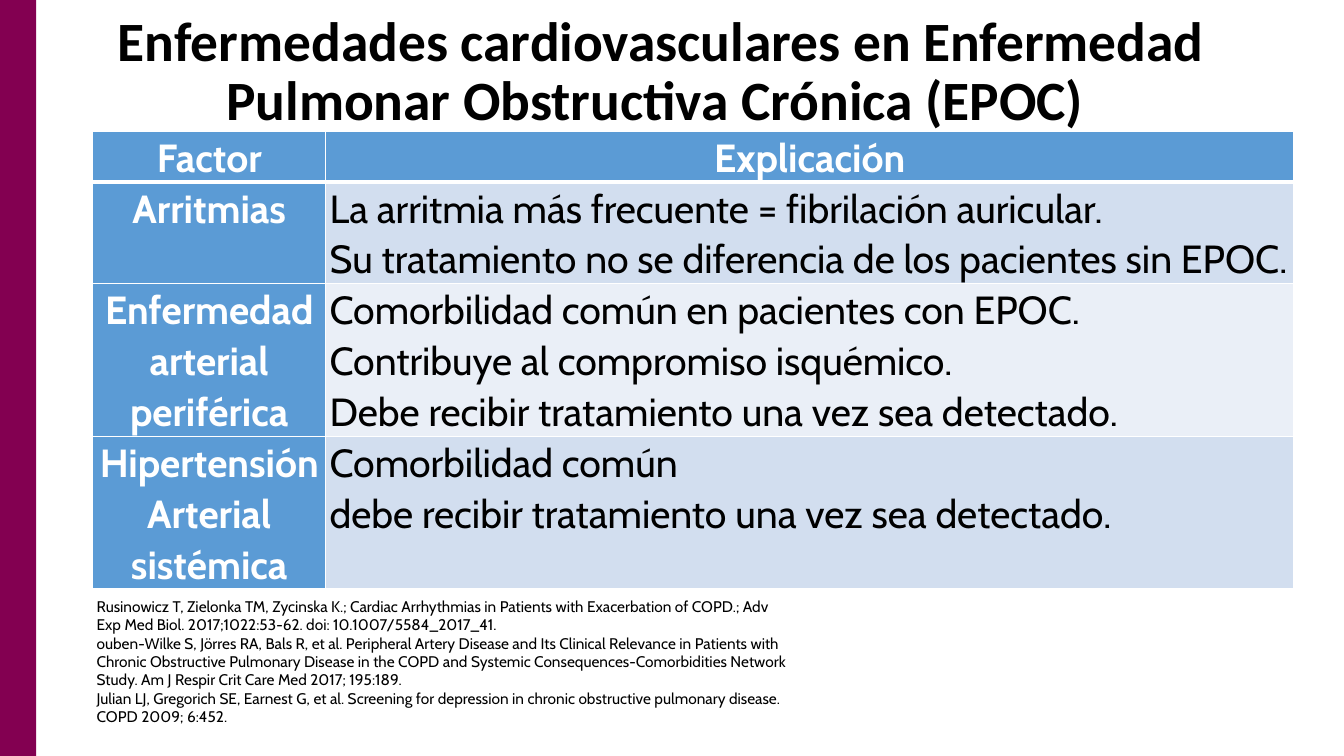
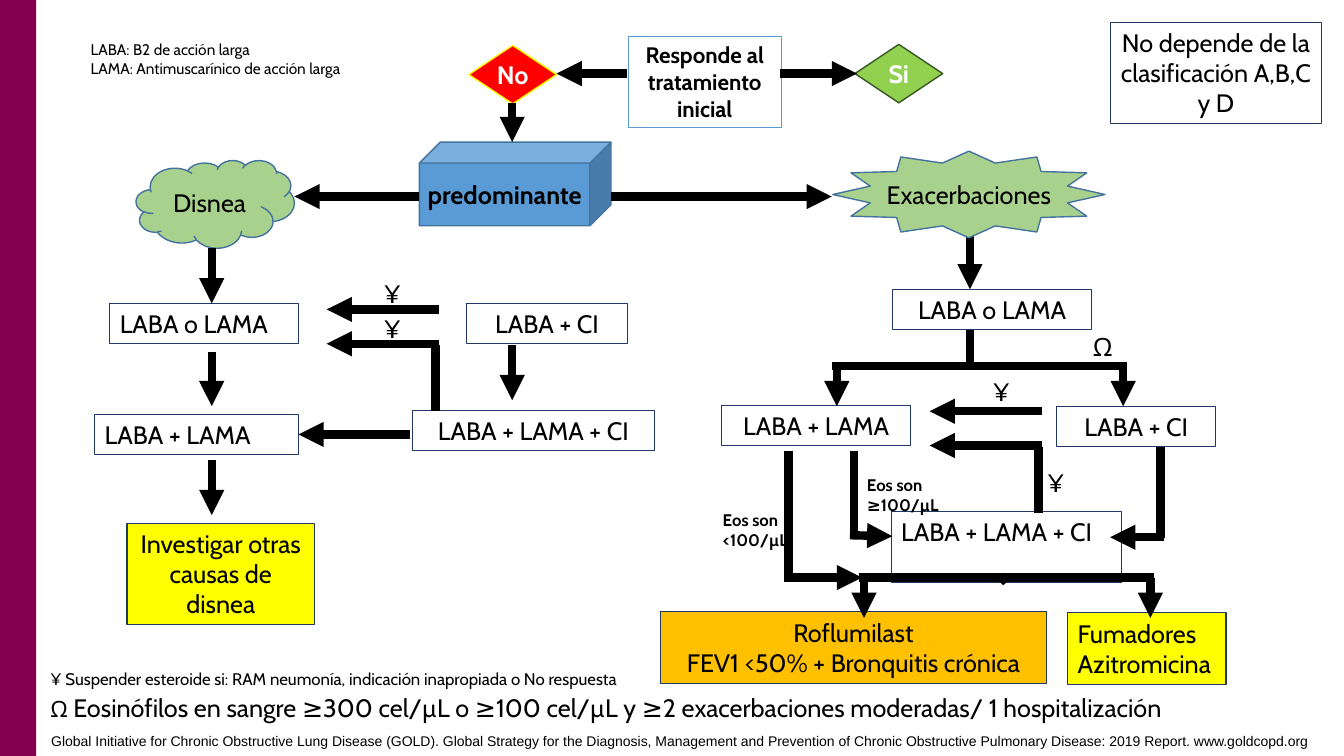
import pptx
import pptx.dml.color
import pptx.enum.shapes
import pptx.enum.text
import pptx.oxml
import pptx.oxml.ns
import pptx.util

Inches = pptx.util.Inches
Pt = pptx.util.Pt
SHAPE = pptx.enum.shapes.MSO_SHAPE
ALIGN = pptx.enum.text.PP_ALIGN
ANCHOR = pptx.enum.text.MSO_ANCHOR

COLORS = {
    "band": "830051", "black": "000000", "white": "FFFFFF", "blue": "5B9BD5",
    "row_dark": "D2DEEF", "row_light": "EAEFF7", "navy": "203864",
    "steel": "43739E", "sage": "A9D18E", "green": "92D050", "forest": "385723",
    "red": "FF0000", "yellow": "FFFF00", "orange": "FFC000",
}
LAYOUT_TITLE_ONLY, LAYOUT_BLANK = 5, 6
RIGHT_SIDE = 3


def color(name):
    return pptx.dml.color.RGBColor.from_string(COLORS[name])


def lengths(values):
    return [Inches(value) for value in values]


class Deck:
    """Shared style and the slide being built."""

    def __init__(self):
        self.presentation = pptx.Presentation()
        self.presentation.slide_width = Inches(13.33)
        self.presentation.slide_height = Inches(7.5)
        self.slide = None

    def new_slide(self, title=None):
        layout = LAYOUT_TITLE_ONLY if title else LAYOUT_BLANK
        self.slide = self.presentation.slides.add_slide(
            self.presentation.slide_layouts[layout])
        self.shape(SHAPE.RECTANGLE, (0, 0, 0.36, 7.5), fill="band")
        if title:
            holder = self.slide.shapes.title
            holder.left, holder.top, holder.width, holder.height = lengths(
                (0.81, 0, 11.5, 1.45))
            self.set_text(holder.text_frame, title, 39.6, bold=True,
                          align=ALIGN.CENTER, anchor=ANCHOR.MIDDLE,
                          spacing=0.9, font="Calibri")

    def style_run(self, run, size, bold=False, ink="black", font="Cabin"):
        run.font.name = font
        run.font.size = Pt(size)
        run.font.bold = bold
        run.font.color.rgb = color(ink)

    def set_text(self, frame, text, size=18, bold=False, ink="black",
                 align=ALIGN.LEFT, anchor=ANCHOR.TOP, spacing=None, font="Cabin"):
        frame.text = text
        frame.word_wrap = True
        frame.auto_size = pptx.enum.text.MSO_AUTO_SIZE.NONE
        frame.vertical_anchor = anchor
        for paragraph in frame.paragraphs:
            paragraph.alignment = align
            if spacing:
                paragraph.line_spacing = spacing
            for run in paragraph.runs:
                self.style_run(run, size, bold, ink, font)

    def text(self, place, text, size=18, **style):
        frame = self.slide.shapes.add_textbox(*lengths(place)).text_frame
        self.set_text(frame, text, size, **style)
        return frame

    def shape(self, kind, place, fill=None, line=None, width=1):
        shape = self.slide.shapes.add_shape(kind, *lengths(place))
        shape.shadow.inherit = False
        if fill:
            shape.fill.solid()
            shape.fill.fore_color.rgb = color(fill)
        else:
            shape.fill.background()
        if line:
            shape.line.color.rgb = color(line)
            shape.line.width = Pt(width)
        else:
            shape.line.fill.background()
        return shape

    def box(self, place, text, fill=None, line="navy", align=ALIGN.CENTER, **style):
        box = self.shape(SHAPE.RECTANGLE, place, fill, line, 0.75)
        self.set_text(box.text_frame, text, align=align, **style)
        return box

    def symbol(self, kind, place, text, fill, line, **style):
        """Preset shape with one centred line of text."""
        shape = self.shape(kind, place, fill, line)
        frame = shape.text_frame
        self.set_text(frame, text, align=ALIGN.CENTER, anchor=ANCHOR.MIDDLE, **style)
        frame.word_wrap = False
        frame.margin_left = frame.margin_right = 0
        frame.margin_top = frame.margin_bottom = 0

    def line(self, start_x, start_y, end_x, end_y, arrow=True):
        connector = self.slide.shapes.add_connector(
            pptx.enum.shapes.MSO_CONNECTOR.STRAIGHT,
            *lengths((start_x, start_y, end_x, end_y)))
        connector.line.color.rgb = color("black")
        connector.line.width = Pt(6)
        properties = connector._element.spPr
        if arrow:
            tail = pptx.oxml.parse_xml(
                '<a:tailEnd %s type="triangle"/>' % pptx.oxml.ns.nsdecls("a"))
            properties.find(pptx.oxml.ns.qn("a:ln")).append(tail)
        properties.append(pptx.oxml.parse_xml(
            "<a:effectLst %s/>" % pptx.oxml.ns.nsdecls("a")))
        return connector

    def fork(self, left, top):
        """Horizontal bar with an arrow down at each end."""
        self.line(left + 0.05, top, left + 0.05, top + 0.4)
        self.line(left + 2.89, top, left + 2.89, top + 0.4)
        self.line(left, top, left + 2.93, top, arrow=False)

    def step_back(self, left, top):
        """Two arrows to the left, the lower one fed from below."""
        for offset in (0, 0.34):
            self.line(left + 1.11, top + offset, left, top + offset)
        self.line(left + 1.08, top + 0.35, left + 1.08, top + 1.01, arrow=False)

    def cell(self, cell, text, fill, bottom=1, **style):
        cell.margin_left = cell.margin_right = Inches(0.04)
        cell.margin_top = cell.margin_bottom = 0
        self.set_text(cell.text_frame, text, 28, spacing=1.07, **style)
        cell.fill.solid()
        cell.fill.fore_color.rgb = color(fill)
        widths = {"lnL": 1, "lnR": 1, "lnT": 1, "lnB": bottom}
        for index, (side, width) in enumerate(widths.items()):
            border = pptx.oxml.parse_xml(
                '<a:%s %s w="%d"><a:solidFill><a:srgbClr val="%s"/></a:solidFill></a:%s>'
                % (side, pptx.oxml.ns.nsdecls("a"), Pt(width), COLORS["white"], side))
            cell._tc.get_or_add_tcPr().insert(index, border)

    def table(self, place, column_widths, row_heights, rows):
        table = self.slide.shapes.add_table(
            len(rows), len(column_widths), *lengths(place)).table
        table.first_col = True
        for column, width in zip(table.columns, column_widths):
            column.width = Inches(width)
        for row, height in zip(table.rows, row_heights):
            row.height = Inches(height)
        for row_index, row in enumerate(rows):
            for column_index, text in enumerate(row):
                cell = table.cell(row_index, column_index)
                if row_index == 0 or column_index == 0:
                    self.cell(cell, text, "blue", bottom=1 if row_index else 3,
                              bold=True, ink="white", align=ALIGN.CENTER)
                else:
                    fill = "row_dark" if row_index % 2 else "row_light"
                    self.cell(cell, text, fill, align=ALIGN.JUSTIFY)


def comorbidity_slide(deck):
    deck.new_slide("Enfermedades cardiovasculares en Enfermedad "
                   "Pulmonar Obstructiva Crónica (EPOC) ")
    deck.table((0.92, 1.3, 11.91, 4.52), (2.31, 9.6), (0.5, 1.01, 1.51, 1.5), [
        ("Factor", "Explicación"),
        ("Arritmias",
         "La arritmia más frecuente = fibrilación auricular. \n"
         "Su tratamiento no se diferencia de los pacientes sin EPOC."),
        ("Enfermedad arterial periférica",
         "Comorbilidad común en pacientes con EPOC.\n"
         "Contribuye al compromiso isquémico.\n"
         "Debe recibir tratamiento una vez sea detectado."),
        ("Hipertensión Arterial sistémica",
         "Comorbilidad común\n"
         "debe recibir tratamiento una vez sea detectado."),
    ])
    # References
    deck.text(
        (0.86, 5.87, 7.11, 1.4),
        "Rusinowicz T, Zielonka TM, Zycinska K.; Cardiac Arrhythmias in Patients with "
        "Exacerbation of COPD.; Adv Exp Med Biol. 2017;1022:53-62. "
        "doi: 10.1007/5584_2017_41.\n"
        "ouben-Wilke S, Jörres RA, Bals R, et al. Peripheral Artery Disease and Its "
        "Clinical Relevance in Patients with Chronic Obstructive Pulmonary Disease in "
        "the COPD and Systemic Consequences-Comorbidities Network Study. "
        "Am J Respir Crit Care Med 2017; 195:189.\n"
        "Julian LJ, Gregorich SE, Earnest G, et al. Screening for depression in chronic "
        "obstructive pulmonary disease. COPD 2009; 6:452.", 11)


def treatment_slide(deck):
    deck.new_slide()
    # First decision
    deck.line(9.62, 2.33, 9.62, 2.87)
    deck.symbol(SHAPE.STAR_12_POINT, (8.26, 1.5, 2.7, 0.86), "Exacerbaciones",
                "sage", "steel")
    deck.symbol(SHAPE.CLOUD, (1.35, 1.59, 1.57, 0.87), "Disnea", "sage", "steel")
    deck.symbol(SHAPE.CUBE, (4.16, 1.41, 1.9, 0.83), "predominante", "blue", "steel",
                bold=True)
    deck.symbol(SHAPE.FLOWCHART_DECISION, (8.48, 0.44, 0.87, 0.58), "Si",
                "green", "forest", bold=True, ink="white")
    deck.symbol(SHAPE.FLOWCHART_DECISION, (4.65, 0.45, 0.87, 0.58), "No",
                "red", "yellow", bold=True, ink="white")
    deck.box((6.23, 0.36, 1.52, 0.91), "Responde al tratamiento inicial",
             line="blue", size=16, bold=True)
    deck.box((11.01, 0.22, 2.1, 1.01), "No depende de la clasificación A,B,C y D")
    deck.text((0.8, 0.35, 3.06, 0.47),
              "LABA: B2 de acción larga\nLAMA: Antimuscarínico de acción larga", 11)

    # Dyspnoea branch
    deck.box((1.09, 3.01, 1.87, 0.4), "LABA o LAMA", align=ALIGN.LEFT)
    dual_therapy = deck.box((0.94, 4.11, 2.02, 0.4), "LABA + LAMA", align=ALIGN.LEFT)
    deck.box((4.63, 3.01, 1.59, 0.4), "LABA + CI")
    deck.box((4.09, 4.07, 2.4, 0.4), "LABA + LAMA + CI")
    deck.box((1.26, 5.19, 1.86, 1.01), "Investigar otras causas de disnea", "yellow")

    # Exacerbations branch
    deck.box((8.85, 2.87, 1.98, 0.4), "LABA o LAMA")
    deck.box((7.16, 4.02, 1.87, 0.4), "LABA + LAMA")
    deck.box((10.48, 4.03, 1.58, 0.4), "LABA + CI")
    deck.box((8.84, 5.07, 2.28, 0.71), "LABA + LAMA + CI", align=ALIGN.LEFT)
    deck.box((6.55, 6.07, 3.83, 0.71),
             "Roflumilast\nFEV1 <50% + Bronquitis crónica", "orange")
    deck.box((10.59, 6.08, 1.57, 0.71), "Fumadores\nAzitromicina", "yellow",
             align=ALIGN.LEFT)

    # Arrows
    for ends in (
        (6.22, 0.73, 5.52, 0.73), (7.74, 0.73, 8.5, 0.73), (5.08, 1.02, 5.08, 1.41),
        (4.16, 1.95, 2.92, 1.95), (6.06, 1.95, 8.25, 1.95), (2.1, 2.46, 2.1, 3.01),
        (2.1, 3.49, 2.1, 4.03), (2.1, 4.56, 2.1, 5.11), (5.08, 3.42, 5.08, 3.97),
        (8.43, 5.31, 8.85, 5.32), (11.54, 5.33, 11.01, 5.33), (7.78, 5.73, 8.55, 5.73),
    ):
        deck.line(*ends)
    deck.line(4.07, 4.31, 2.96, 4.31).end_connect(dual_therapy, RIGHT_SIDE)
    deck.step_back(3.24, 3.07)
    deck.step_back(9.22, 4.08)
    deck.fork(8.25, 3.63)
    deck.fork(8.52, 5.73)

    # Plain segments that feed the arrows
    for ends in (
        (9.62, 3.66, 9.62, 3.27), (8.47, 4.47, 8.47, 5.31), (11.51, 4.43, 11.51, 5.34),
        (9.92, 5.71, 9.98, 5.78), (7.82, 4.47, 7.82, 5.76),
    ):
        deck.line(*ends, arrow=False)

    # Marks and conditions beside the arrows
    for left, top, mark in ((3.71, 2.71, "¥"), (3.71, 3.06, "¥"), (9.75, 3.68, "¥"),
                            (10.29, 4.59, "¥"), (10.74, 3.24, "Ω")):
        deck.text((left, top, 0.38, 0.4), mark)
    for left, top, condition in ((7.07, 5.01, "Eos son <100/µL"),
                                 (8.5, 4.66, "Eos son ≥100/µL")):
        deck.text((left, top, 1, 0.5), condition, 12, bold=True)

    # Footnotes
    deck.text((0.4, 6.59, 11.22, 0.3), "¥ Suspender esteroide si: RAM neumonía, "
              "indicación inapropiada o No respuesta", 12)
    omega_note = deck.text((0.4, 6.82, 12.25, 0.4), "Ω", 16)
    run = omega_note.paragraphs[0].add_run()
    run.text = (" Eosinófilos en sangre ≥300 cel/µL o ≥100 cel/µL y "
                "≥2 exacerbaciones moderadas/ 1 hospitalización")
    deck.style_run(run, 18)
    deck.text((0.41, 7.21, 12.97, 0.27),
              "Global Initiative for Chronic Obstructive Lung Disease (GOLD). Global "
              "Strategy for the Diagnosis, Management and Prevention of Chronic "
              "Obstructive Pulmonary Disease: 2019 Report. www.goldcopd.org",
              10, font="Arial", align=ALIGN.JUSTIFY, spacing=1.07)


def main():
    deck = Deck()
    comorbidity_slide(deck)
    treatment_slide(deck)
    deck.presentation.save("out.pptx")


if __name__ == "__main__":
    main()
